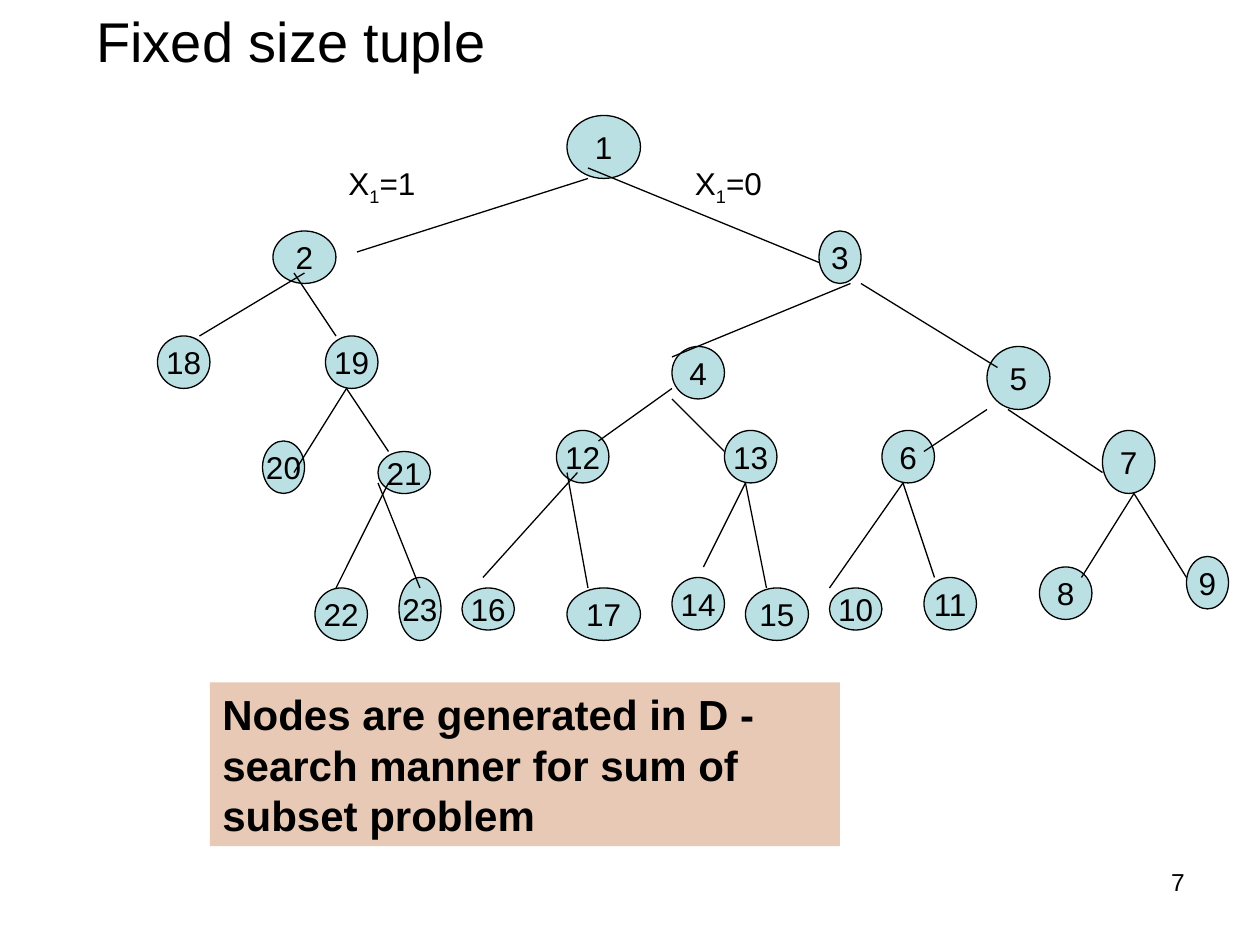
from lxml.etree import SubElement
from pptx import Presentation
from pptx.dml.color import RGBColor
from pptx.enum.shapes import MSO_CONNECTOR, MSO_SHAPE
from pptx.enum.text import MSO_ANCHOR, PP_ALIGN
from pptx.oxml.ns import qn
from pptx.util import Inches, Pt

BLACK = RGBColor(0x00, 0x00, 0x00)
NODE_FILL = RGBColor(0xBB, 0xE0, 0xE3)
NOTE_FILL = RGBColor(0xE8, 0xC9, 0xB6)

CELL = Inches(1) / 12  # side of a grid cell; the slide has 120 columns and 90 rows

# Number: left, top, width and height in grid cells
NODES = {
    1: (54, 11, 7, 6),
    2: (26, 22, 6, 5), 3: (78, 22, 4, 5),
    4: (64, 33, 5, 5), 5: (94, 33, 6, 6),
    6: (84, 41, 5, 5), 7: (105, 41, 5, 6),
    8: (99, 54, 5, 5), 9: (113, 53, 4, 5),
    10: (79, 56, 5, 4), 11: (88, 55, 5, 5),
    12: (53, 41, 5, 5), 13: (69, 41, 5, 5),
    14: (64, 55, 5, 5), 15: (71, 56, 6, 5),
    16: (44, 56, 5, 4), 17: (54, 56, 7, 5),
    18: (15, 32, 5, 5), 19: (31, 32, 5, 5),
    20: (25, 42, 4, 5), 21: (36, 43, 5, 4),
    22: (30, 56, 5, 5), 23: (38, 55, 4, 6),
}

# (parent, child): start column and row, end column and row
BRANCHES = {
    (1, 2): (56, 17, 34, 24), (1, 3): (56, 16, 78, 25),
    (3, 4): (81, 27, 64, 34), (3, 5): (82, 27, 95, 35),
    (5, 6): (94, 39, 88, 43), (5, 7): (96, 39, 105, 45),
    (7, 8): (108, 47, 103, 55), (7, 9): (108, 47, 113, 55),
    (6, 10): (86, 46, 79, 56), (6, 11): (86, 46, 89, 55),
    (4, 13): (64, 38, 69, 43), (4, 12): (64, 37, 57, 42),
    (13, 14): (71, 46, 67, 54), (13, 15): (71, 46, 73, 56),
    (12, 16): (55, 45, 46, 55), (12, 17): (54, 45, 56, 56),
    (2, 18): (29, 26, 19, 32), (2, 19): (28, 26, 32, 32),
    (19, 20): (33, 37, 28, 45), (19, 21): (33, 37, 37, 43),
    (21, 22): (37, 46, 32, 56), (21, 23): (36, 46, 40, 56),
}


def grid(*cells):
    return [round(cell * CELL) for cell in cells]


def write(shape, *runs, size=18, bold=False, align=PP_ALIGN.LEFT,
          anchor=MSO_ANCHOR.TOP, wrap=True):
    """Write the runs as one paragraph; a run starting with "_" is a subscript."""
    frame = shape.text_frame
    frame.word_wrap = wrap
    frame.vertical_anchor = anchor
    paragraph = frame.paragraphs[0]
    paragraph.alignment = align
    for text in runs:
        run = paragraph.add_run()
        run.text = text.removeprefix("_")
        run.font.name = "Arial"
        run.font.size = Pt(size)
        run.font.bold = bold
        run.font.color.rgb = BLACK
        if text.startswith("_"):
            run.font._element.set("baseline", "-25000")


def add_text(slide, box, *runs, **text_format):
    write(slide.shapes.add_textbox(*grid(*box)), *runs, **text_format)


def add_node(slide, box, number):
    shape = slide.shapes.add_shape(MSO_SHAPE.OVAL, *grid(*box))
    shape.shadow.inherit = False
    shape.fill.solid()
    shape.fill.fore_color.rgb = NODE_FILL
    shape.line.color.rgb = BLACK
    shape.line.width = Pt(0.75)
    write(shape, str(number), align=PP_ALIGN.CENTER,
          anchor=MSO_ANCHOR.MIDDLE, wrap=False)


def add_branch(slide, ends):
    line = slide.shapes.add_connector(MSO_CONNECTOR.STRAIGHT, *grid(*ends))
    line.line.color.rgb = BLACK
    line.line.width = Pt(0.75)
    SubElement(line._element.spPr, qn("a:effectLst"))


def add_tree(slide):
    for number, box in NODES.items():
        add_node(slide, box, number)
    for ends in BRANCHES.values():
        add_branch(slide, ends)
    add_text(slide, (65, 15, 12, 5.25), "X", "_1", "=0")
    add_text(slide, (32, 15, 11, 5.25), "X", "_1", "=1")


def add_note(slide, box):
    shape = slide.shapes.add_shape(MSO_SHAPE.RECTANGLE, *grid(*box))
    shape.shadow.inherit = False
    shape.fill.solid()
    shape.fill.fore_color.rgb = NOTE_FILL
    shape.line.fill.background()
    write(shape, "Nodes are generated in D - search manner for sum of subset problem",
          size=24, bold=True)


def main():
    presentation = Presentation()
    presentation.slide_width = Inches(10)
    presentation.slide_height = Inches(7.5)
    slide = presentation.slides.add_slide(presentation.slide_layouts[6])

    add_text(slide, (8, 0, 108, 90), "Fixed size tuple", size=32)
    add_tree(slide)
    add_note(slide, (20, 65, 60, 15.6))
    add_text(slide, (86, 82, 28, 6.2), "7", size=14, align=PP_ALIGN.RIGHT)

    presentation.save("out.pptx")


if __name__ == "__main__":
    main()
